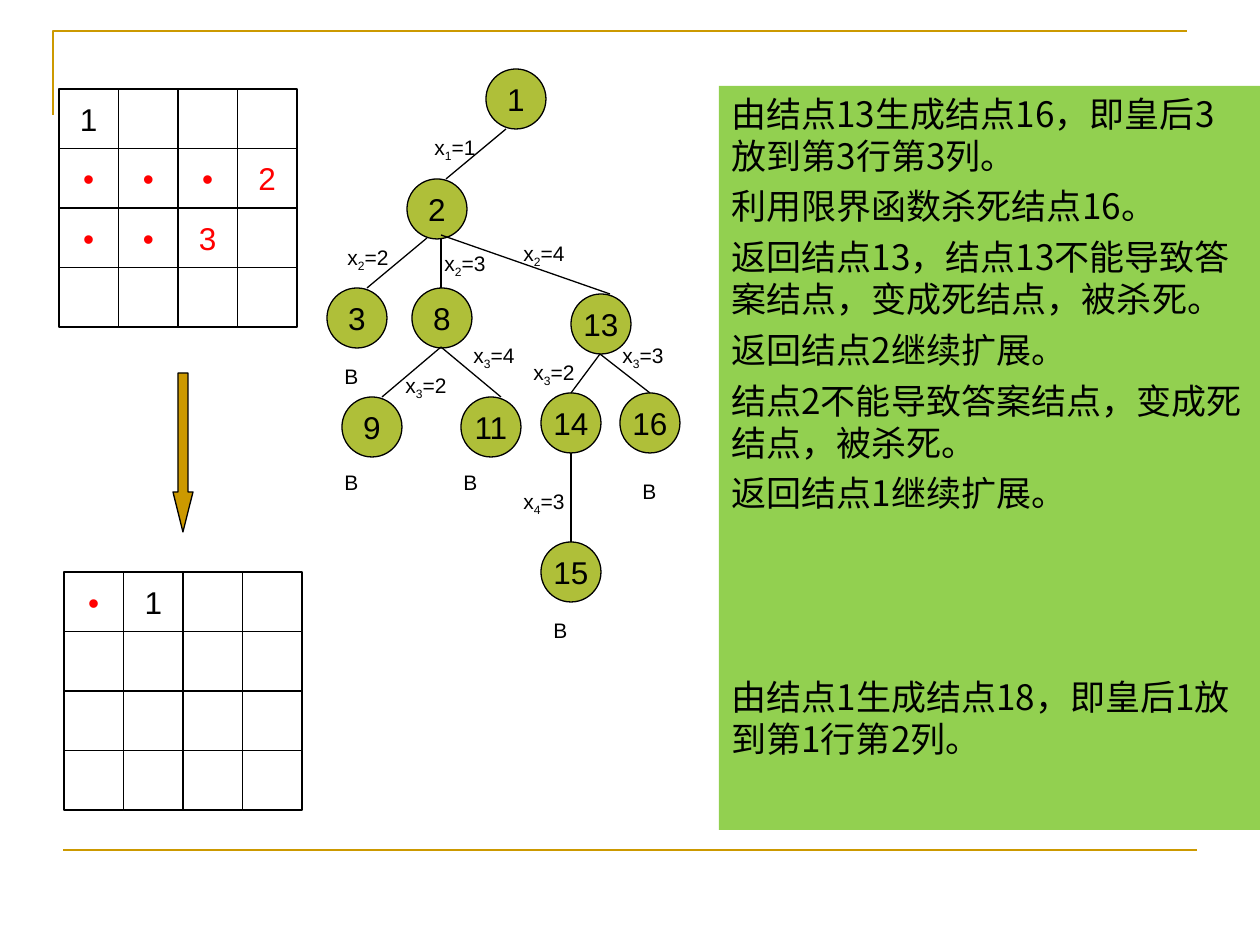
from dataclasses import dataclass

from lxml.etree import SubElement
from pptx import Presentation
from pptx.dml.color import RGBColor
from pptx.enum.shapes import MSO_CONNECTOR as Connector, MSO_SHAPE as Preset
from pptx.enum.text import MSO_ANCHOR as Anchor, PP_ALIGN as Align
from pptx.oxml.ns import qn
from pptx.util import Pt


@dataclass(frozen=True)
class Theme:
    ink: str = "000000"
    mark: str = "FF0000"
    node: str = "AFBF39"
    panel: str = "92D050"
    accent: str = "CC9900"
    latin: str = "Arial"
    chinese: str = "Noto Sans CJK SC"
    label_size: int = 12
    node_size: int = 18
    note_size: int = 20
    note_leading: int = 24
    note_gap: int = 5
    thin: float = 0.75
    rule: float = 1.5


THEME = Theme()
NODE = 60
BOARD = 238

PLACED_BOARD = [
    ["1", "", "", ""],
    ["•", "•", "•", "2"],
    ["•", "•", "3", ""],
    ["", "", "", ""],
]
NEXT_BOARD = [["•", "1", "", ""]] + [[""] * 4] * 3

NODES = {
    "1": (486, 69), "2": (407, 179), "3": (327, 288), "8": (412, 288),
    "13": (571, 294), "9": (342, 397), "11": (461, 397), "14": (541, 393),
    "16": (620, 393), "15": (541, 542),
}
EDGES = [
    ((506, 129), (446, 179)), ((427, 238), (367, 288)),
    ((441, 238), (441, 288)), ((441, 235), (610, 294)),
    ((441, 347), (382, 397)), ((441, 347), (501, 397)),
    ((600, 354), (571, 393)), ((600, 354), (650, 393)),
    ((571, 453), (571, 542)),
]
CHOICES = [
    (422, 128, "1", "1"), (335, 238, "2", "2"), (432, 244, "2", "3"),
    (511, 234, "2", "4"), (393, 366, "3", "2"), (461, 336, "3", "4"),
    (521, 353, "3", "2"), (610, 336, "3", "3"), (511, 482, "4", "3"),
]
BOUNDED = [(332, 357), (332, 463), (451, 463), (630, 472), (541, 611)]

NOTES = [
    "由结点13生成结点16，即皇后3放到第3行第3列。",
    "利用限界函数杀死结点16。",
    "返回结点13，结点13不能导致答案结点，变成死结点，被杀死。",
    "返回结点2继续扩展。",
    "结点2不能导致答案结点，变成死结点，被杀死。",
    "返回结点1继续扩展。",
    "由结点1生成结点18，即皇后1放到第1行第2列。",
]


def px(length):
    return round(length * 914400 / 126)


def rgb(code):
    return RGBColor.from_string(code)


def set_font(paragraph, size, color=THEME.ink, name=THEME.latin):
    font = paragraph.font
    font.size = Pt(size)
    font.color.rgb = rgb(color)
    font.name = name
    SubElement(paragraph._p.pPr.find(qn("a:defRPr")), qn("a:ea"), typeface=name)


def set_line(line, color=THEME.ink, width=THEME.thin):
    line.color.rgb = rgb(color)
    line.width = Pt(width)


def add_figure(shapes, preset, left, top, width, height, fill=None, outlined=True):
    figure = shapes.add_shape(preset, px(left), px(top), px(width), px(height))
    figure.shadow.inherit = False
    if fill:
        figure.fill.solid()
        figure.fill.fore_color.rgb = rgb(fill)
    else:
        figure.fill.background()
    if outlined:
        set_line(figure.line)
    else:
        figure.line.fill.background()
    return figure


def write_centred(figure, text, color=THEME.ink):
    frame = figure.text_frame
    frame.word_wrap = False
    frame.vertical_anchor = Anchor.MIDDLE
    paragraph = frame.paragraphs[0]
    paragraph.text = text
    paragraph.alignment = Align.CENTER
    set_font(paragraph, THEME.node_size, color)


def add_line(shapes, start, end, color=THEME.ink, width=THEME.thin):
    line = shapes.add_connector(Connector.STRAIGHT, *map(px, start + end))
    set_line(line.line, color, width)
    SubElement(line._element.spPr, qn("a:effectLst"))


def add_label(shapes, left, top, height, text, subscript="", value=""):
    label = shapes.add_textbox(px(left), px(top), px(79), px(height))
    label.text_frame.word_wrap = True
    paragraph = label.text_frame.paragraphs[0]
    paragraph.add_run().text = text
    if subscript:
        lowered = paragraph.add_run()
        lowered.text = subscript
        lowered._r.get_or_add_rPr().set("baseline", "-25000")
        paragraph.add_run().text = f"={value}"
    set_font(paragraph, THEME.label_size)


def add_frame(shapes):
    builder = shapes.build_freeform(px(53), px(115), scale=1.0)
    builder.add_line_segments(
        [(px(53), px(31)), (px(1187), px(31))], close=False)
    corner = builder.convert_to_shape()
    corner.shadow.inherit = False
    corner.fill.background()
    set_line(corner.line, THEME.accent, THEME.rule)
    add_line(shapes, (63, 850), (1197, 850), THEME.accent, THEME.rule)


def add_board(shapes, left, top, rows):
    squares = shapes.add_group_shape().shapes
    pitch = BOARD / len(rows)
    for row, marks in enumerate(rows):
        for column, mark in enumerate(marks):
            square = add_figure(squares, Preset.RECTANGLE, left + column * pitch,
                                top + row * pitch, pitch, pitch)
            if mark:
                write_centred(square, mark, THEME.ink if mark == "1" else THEME.mark)


def add_tree(shapes):
    for number, (left, top) in NODES.items():
        node = add_figure(shapes, Preset.OVAL, left, top, NODE, NODE, THEME.node)
        write_centred(node, number)
    for start, end in EDGES:
        add_line(shapes, start, end)
    for left, top, level, column in CHOICES:
        add_label(shapes, left, top, 42, "x", level, column)
    for left, top in BOUNDED:
        add_label(shapes, left, top, 37, "B")


def add_notes(shapes):
    panel = add_figure(shapes, Preset.RECTANGLE, 719, 86, 541, 744,
                       THEME.panel, outlined=False)
    frame = panel.text_frame
    frame.word_wrap = True
    frame.vertical_anchor = Anchor.TOP
    for index, note in enumerate(NOTES):
        paragraph = frame.add_paragraph() if index else frame.paragraphs[0]
        paragraph.text = note
        paragraph.alignment = Align.LEFT
        paragraph._p.get_or_add_pPr().set("hangingPunct", "0")
        paragraph.line_spacing = Pt(THEME.note_leading)
        if index:
            paragraph.space_before = Pt(THEME.note_gap)
        set_font(paragraph, THEME.note_size, name=THEME.chinese)
    skipped = 3 * (THEME.note_leading + THEME.note_gap)
    paragraph.space_before = Pt(THEME.note_gap + skipped)


def add_step_arrow(shapes):
    arrow = add_figure(shapes, Preset.DOWN_ARROW, 173, 373, 20, 159, THEME.accent)
    arrow.adjustments[0] = 0.5
    arrow.adjustments[1] = 2


def main():
    deck = Presentation()
    deck.slide_width, deck.slide_height = px(1260), px(945)
    shapes = deck.slides.add_slide(deck.slide_layouts[6]).shapes
    add_frame(shapes)
    add_board(shapes, 59, 89, PLACED_BOARD)
    add_tree(shapes)
    add_notes(shapes)
    add_board(shapes, 64, 572, NEXT_BOARD)
    add_step_arrow(shapes)
    deck.save("out.pptx")


if __name__ == "__main__":
    main()
